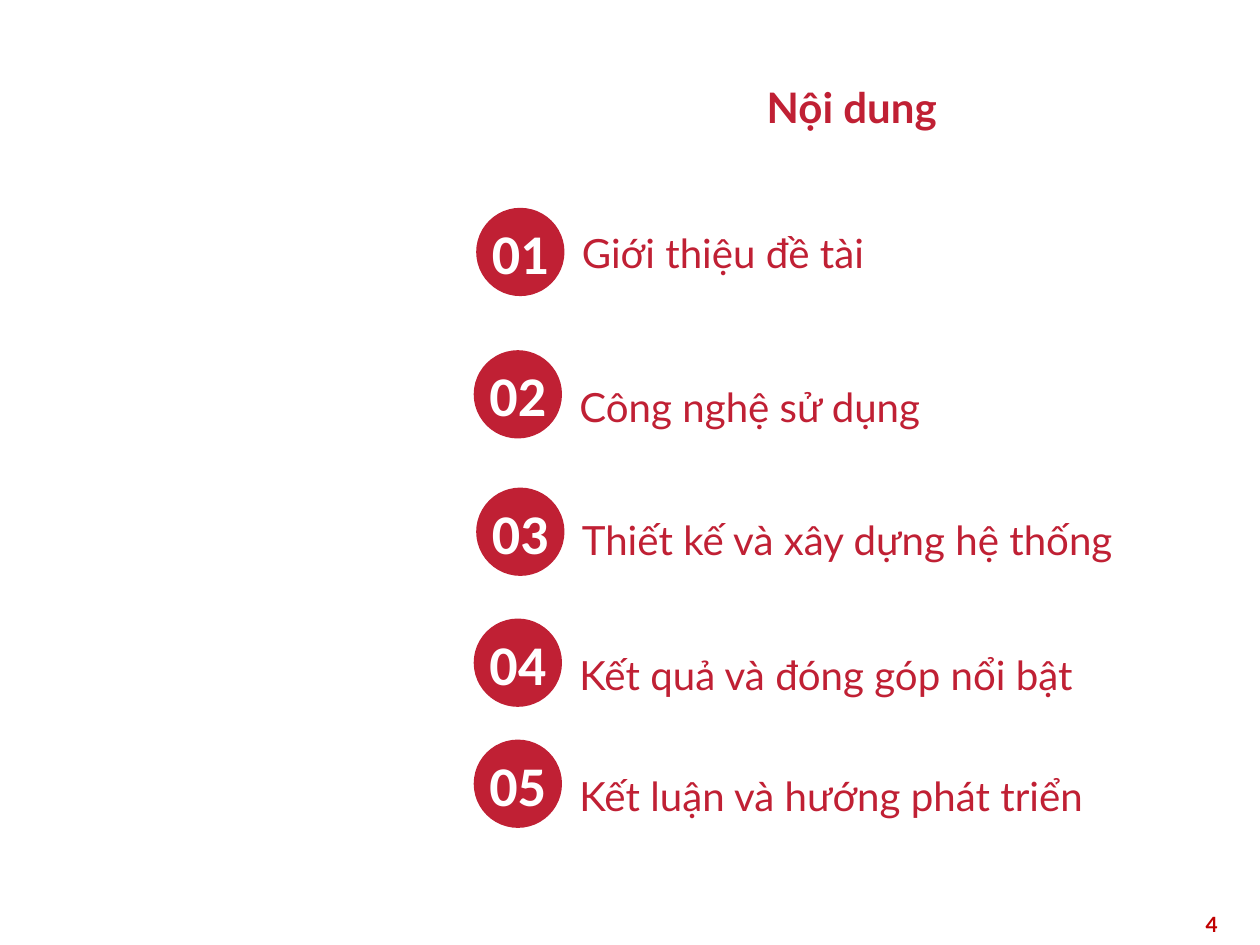
from dataclasses import dataclass

from pptx import Presentation
from pptx import util as u
from pptx.dml.color import RGBColor
from pptx.enum import shapes, text

COLORS = {"red": "C02034", "page": "C00000", "white": "FFFFFF"}
TITLE = {"name": "Lato", "size": u.Pt(24), "bold": True}
NUMBER = {"name": "Calibri", "size": u.Pt(32), "bold": True}
LABEL = {"name": "Lato", "size": u.Pt(23), "bold": False}
PAGE = {"name": "Lato", "size": u.Pt(12), "bold": True}

CIRCLE = 1.78
LABEL_OFFSET = 1.88
LABEL_WIDTH = 13.31


@dataclass
class Item:
    label: str
    left: float
    top: float
    spacing: float = 1.5
    label_height: float = CIRCLE
    label_shift: float = 0


ITEMS = [
    Item("Giới thiệu đề tài", 9.6, 4.19, spacing=1.0),
    Item("Công nghệ sử dụng", 9.55, 7.06),
    Item("Thiết kế và xây dựng hệ thống", 9.6, 9.83, spacing=1.0,
         label_height=2.49, label_shift=-0.2),
    Item("Kết quả và đóng góp nổi bật", 9.55, 12.47),
    Item("Kết luận và hướng phát triển", 9.55, 14.91),
]


def rgb(name: str) -> RGBColor:
    return RGBColor.from_string(COLORS[name])


def write(sp, words: str, font: dict, color: str, align=text.PP_ALIGN.LEFT,
          anchor=text.MSO_ANCHOR.TOP, spacing: float = 1.0) -> None:
    tf = sp.text_frame
    tf.word_wrap = True
    tf.vertical_anchor = anchor
    p = tf.paragraphs[0]
    p.alignment = align
    p.line_spacing = spacing
    r = p.add_run()
    r.text = words
    for key, value in font.items():
        setattr(r.font, key, value)
    r.font.color.rgb = rgb(color)


def add_text(parent, left: float, top: float, width: float, height: float,
             words: str, font: dict, color: str, **layout) -> None:
    sp = parent.add_textbox(u.Cm(left), u.Cm(top), u.Cm(width), u.Cm(height))
    write(sp, words, font, color, **layout)


def add_item(s, number: int, item: Item) -> None:
    """Group a numbered circle with its label."""
    group = s.shapes.add_group_shape().shapes
    sp = group.add_shape(shapes.MSO_SHAPE.OVAL, u.Cm(item.left), u.Cm(item.top),
                         u.Cm(CIRCLE), u.Cm(CIRCLE))
    sp.shadow.inherit = False
    sp.fill.solid()
    sp.fill.fore_color.rgb = rgb("red")
    sp.line.fill.background()
    for side in ("left", "top", "right", "bottom"):
        setattr(sp.text_frame, f"margin_{side}", 0)
    write(sp, f"{number:02}", NUMBER, "white", align=text.PP_ALIGN.CENTER,
          anchor=text.MSO_ANCHOR.MIDDLE)
    add_text(group, item.left + LABEL_OFFSET, item.top + item.label_shift,
             LABEL_WIDTH, item.label_height, item.label, LABEL, "red",
             anchor=text.MSO_ANCHOR.MIDDLE, spacing=item.spacing)


def main() -> None:
    prs = Presentation()
    prs.slide_width, prs.slide_height = u.Cm(25.4), u.Cm(19.05)
    s = prs.slides.add_slide(prs.slide_layouts[6])
    add_text(s.shapes, 19.08, 18.26, 5.72, 1.02, "4", PAGE, "page",
             align=text.PP_ALIGN.RIGHT)
    add_text(s.shapes, 9.55, 1.52, 15.24, 1.27, "Nội dung", TITLE, "red",
             align=text.PP_ALIGN.CENTER)
    for number, item in enumerate(ITEMS, 1):
        add_item(s, number, item)
    prs.save("out.pptx")


if __name__ == "__main__":
    main()
